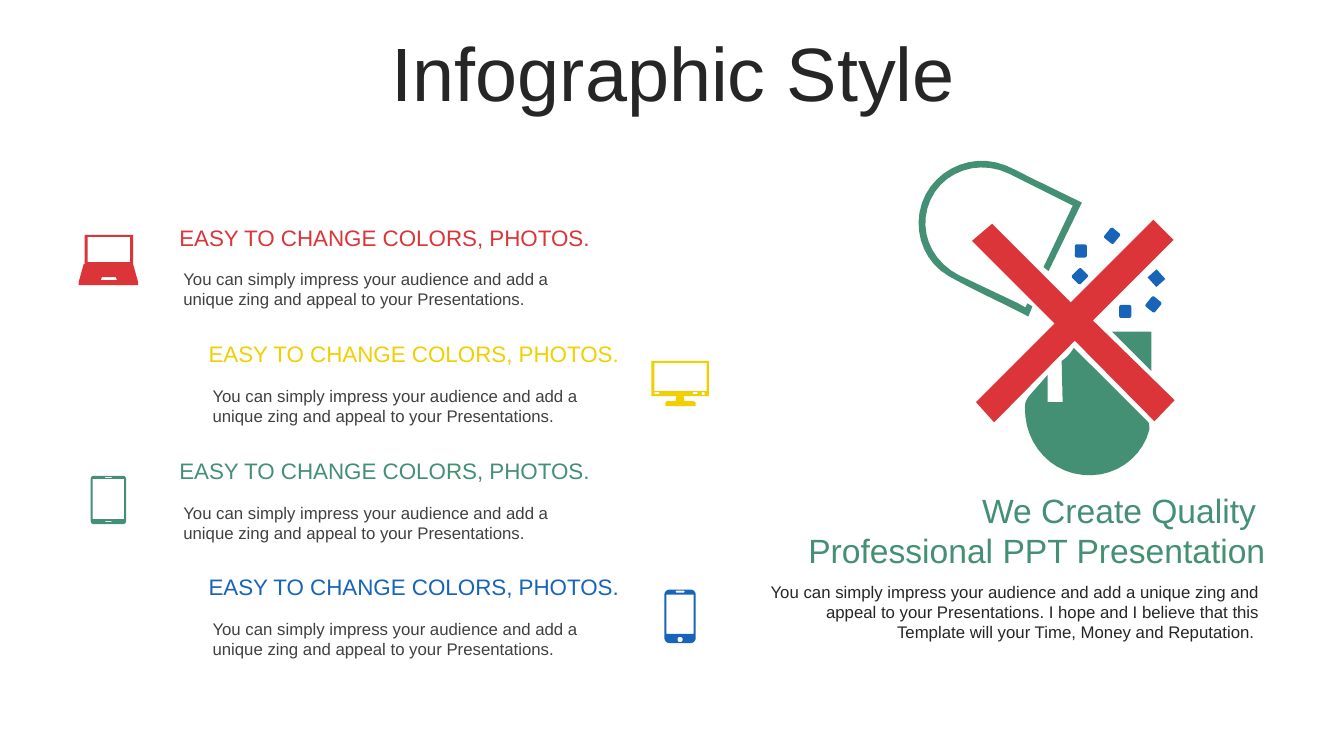
from pptx import Presentation
from pptx import util as u
from pptx.dml.color import RGBColor
from pptx.enum import shapes, text

RED, YELLOW, GREEN, BLUE = "DC3539", "F1CF01", "449074", "1764B9"
DARK, GREY = "262626", "404040"
CURVE_STEPS = 10


def color(hex_code):
    return RGBColor.from_string(hex_code)


def box(left, top, right, bottom):
    return [(left, top), (right, top), (right, bottom), (left, bottom)]


def rounded(left, top, right, bottom, radius):
    """Outline of a rectangle with round corners."""
    r, k = radius, radius * 0.45
    return [
        (left + r, top), (right - r, top),
        (right - k, top, right, top + k, right, top + r), (right, bottom - r),
        (right, bottom - k, right - k, bottom, right - r, bottom), (left + r, bottom),
        (left + k, bottom, left, bottom - k, left, bottom - r), (left, top + r),
        (left, top + k, left + k, top, left + r, top),
    ]


def flatten(contour):
    """Turn points (x, y) and Bezier curves (x1, y1, x2, y2, x, y) into points."""
    points = []
    for step in contour:
        if len(step) == 2:
            points.append(step)
            continue
        (x0, y0), (x1, y1, x2, y2, x3, y3) = points[-1], step
        for i in range(1, CURVE_STEPS + 1):
            t = i / CURVE_STEPS
            a, b, c, d = (1 - t) ** 3, 3 * t * (1 - t) ** 2, 3 * t * t * (1 - t), t ** 3
            points.append((a * x0 + b * x1 + c * x2 + d * x3,
                           a * y0 + b * y1 + c * y2 + d * y3))
    return [(u.Inches(x), u.Inches(y)) for x, y in points]


class SlideBuilder:
    font = "Arial"

    def __init__(self, slide):
        self.shapes = slide.shapes

    def paint(self, shape, fill):
        shape.shadow.inherit = False
        shape.fill.solid()
        shape.fill.fore_color.rgb = color(fill)
        shape.line.fill.background()

    def text(self, place, lines, size, fill, align="LEFT", anchor="TOP",
             insets=(0.1, 0.05), spacing=None, before=None):
        frame = self.shapes.add_textbox(*map(u.Inches, place)).text_frame
        frame.word_wrap = True
        frame.vertical_anchor = text.MSO_ANCHOR[anchor]
        frame.margin_left = frame.margin_right = u.Inches(insets[0])
        frame.margin_top = frame.margin_bottom = u.Inches(insets[1])
        for i, line in enumerate(lines):
            paragraph = frame.add_paragraph() if i else frame.paragraphs[0]
            paragraph.alignment = text.PP_ALIGN[align]
            paragraph.line_spacing = spacing
            paragraph.space_before = before
            run = paragraph.add_run()
            run.text = line
            run.font.name = self.font
            run.font.size = u.Pt(size)
            run.font.color.rgb = color(fill)

    def outline(self, contours, fill):
        """Draw one filled shape; inner contours become holes."""
        builder = None
        for contour in contours:
            start, *rest = flatten(contour)
            if builder is None:
                builder = self.shapes.build_freeform(*start, scale=1.0)
            else:
                builder.move_to(*start)
            builder.add_line_segments(rest, close=True)
        self.paint(builder.convert_to_shape(), fill)

    def pixel(self, center_x, center_y, angle, kind, fill):
        width, height = 0.12, 0.13
        shape = self.shapes.add_shape(
            kind, u.Inches(center_x - width / 2), u.Inches(center_y - height / 2),
            u.Inches(width), u.Inches(height))
        shape.rotation = angle
        self.paint(shape, fill)


LAPTOP = [
    [(0.84, 2.33), (1.32, 2.33), (1.32, 2.62), (1.37, 2.8), (1.37, 2.83),
     (0.78, 2.83), (0.78, 2.8), (0.83, 2.62), (0.84, 2.62)],
    box(0.87, 2.35, 1.29, 2.6),
    [(1.01, 2.75), (1, 2.78), (1.16, 2.78), (1.15, 2.75)],
]
MONITOR = [
    [(6.46, 3.58), (7.03, 3.58), (7.03, 3.93), (6.78, 3.93), (6.79, 3.98), (6.87, 3.98),
     (6.89, 3.98, 6.9, 3.99, 6.9, 4), (6.9, 4.03), (6.6, 4.03), (6.6, 4),
     (6.6, 3.99, 6.61, 3.98, 6.62, 3.98), (6.7, 3.98), (6.71, 3.93), (6.46, 3.93)],
    box(6.49, 3.6, 7.01, 3.88),
    rounded(6.49, 3.89, 6.54, 3.91, 0.01),
    rounded(6.87, 3.89, 6.92, 3.91, 0.01),
    rounded(6.96, 3.89, 6.99, 3.92, 0.01),
]
TABLET = [
    rounded(0.9, 4.72, 1.25, 5.2, 0.03),
    box(0.92, 4.75, 1.23, 5.15),
    box(1.04, 4.73, 1.11, 4.74),
    rounded(1.04, 5.17, 1.11, 5.18, 0.01),
]
PHONE = [
    rounded(6.59, 5.85, 6.9, 6.38, 0.05),
    box(6.61, 5.9, 6.88, 6.29),
    rounded(6.7, 5.86, 6.79, 5.88, 0.01),
    rounded(6.72, 6.32, 6.77, 6.37, 0.02),
]
CROSS = [[
    (11.45, 4.18), (10.66, 3.38), (9.86, 4.19), (9.68, 3.99), (10.46, 3.21), (9.64, 2.39),
    (9.84, 2.22), (10.62, 3), (11.44, 2.18), (11.64, 2.38), (10.84, 3.18), (11.65, 3.97),
]]
FLASK = [[
    (10.54, 3.99), (10.53, 3.58), (10.58, 3.55, 10.63, 3.49, 10.65, 3.45), (11.38, 4.18),
    (11.4, 4.19, 11.4, 4.23, 11.4, 4.26), (11.33, 4.55, 11.04, 4.75, 10.73, 4.71),
    (10.43, 4.68, 10.2, 4.43, 10.17, 4.13), (10.16, 3.94, 10.15, 4, 10.39, 3.72),
    (10.39, 3.99),
]]
FLASK_NECK = [[(11.42, 3.68), (11.03, 3.29), (11.42, 3.29)]]
CAPSULE = [[
    (10.73, 2.01), (10.4, 2.69), (10.35, 2.65), (10.64, 2.04), (10.58, 2.01), (10, 1.72),
    (9.7, 1.58, 9.36, 1.7, 9.23, 1.98), (9.1, 2.26, 9.22, 2.58, 9.51, 2.73),
    (10.1, 3.01), (10.17, 3.05), (10.19, 3.01), (10.24, 3.04), (10.2, 3.14),
    (9.93, 3, 9.66, 2.88, 9.41, 2.74), (9.13, 2.58, 9.03, 2.22, 9.18, 1.93),
    (9.33, 1.65, 9.67, 1.52, 9.97, 1.64), (10.09, 1.69, 10.21, 1.76, 10.32, 1.81),
]]
SQUARE, SOFT = shapes.MSO_SHAPE.RECTANGLE, shapes.MSO_SHAPE.ROUNDED_RECTANGLE
GRAINS = [
    (10.72, 2.49, 0, SOFT), (11.03, 2.34, 39, SOFT), (10.71, 2.74, 45, SOFT),
    (11.47, 2.76, 318, SQUARE), (11.16, 3.09, 0, SOFT), (11.44, 3.02, 39, SOFT),
]
PITCH = "You can simply impress your audience and add a unique zing and appeal to your Presentations."


def main():
    deck = Presentation()
    deck.slide_width, deck.slide_height = u.Inches(13.33), u.Inches(7.5)
    page = SlideBuilder(deck.slides.add_slide(deck.slide_layouts[6]))

    page.text((0.35, 0.37, 12.66, 0.79), ["Infographic Style"], 54, DARK,
              "CENTER", "MIDDLE", spacing=0.9, before=u.Pt(10))

    features = [(LAPTOP, RED), (MONITOR, YELLOW), (TABLET, GREEN), (PHONE, BLUE)]
    for row, (icon, accent) in enumerate(features):
        left, top = 1.68 + 0.29 * (row % 2), 2.17 + 1.157 * row
        page.text((left + 0.04, top + 0.45, 4.24, 0.5), [PITCH], 12, GREY)
        page.text((left, top, 4.3, 0.37), ["EASY TO CHANGE COLORS, PHOTOS."], 16, accent)
        page.outline(icon, accent)

    page.text((7.52, 4.85, 5.07, 0.81),
              ["We Create Quality ", "Professional PPT Presentation"], 24, GREEN,
              "RIGHT", "MIDDLE", insets=(0.04, 0))
    page.text((7.52, 5.72, 5.07, 0.71),
              [PITCH + " I hope and I believe that this Template will your Time, "
               "Money and Reputation. "], 12, DARK, "RIGHT")

    page.outline(CROSS, RED)
    for part in (FLASK, CAPSULE, FLASK_NECK):
        page.outline(part, GREEN)
    for grain in GRAINS:
        page.pixel(*grain, BLUE)

    deck.save("out.pptx")


if __name__ == "__main__":
    main()
